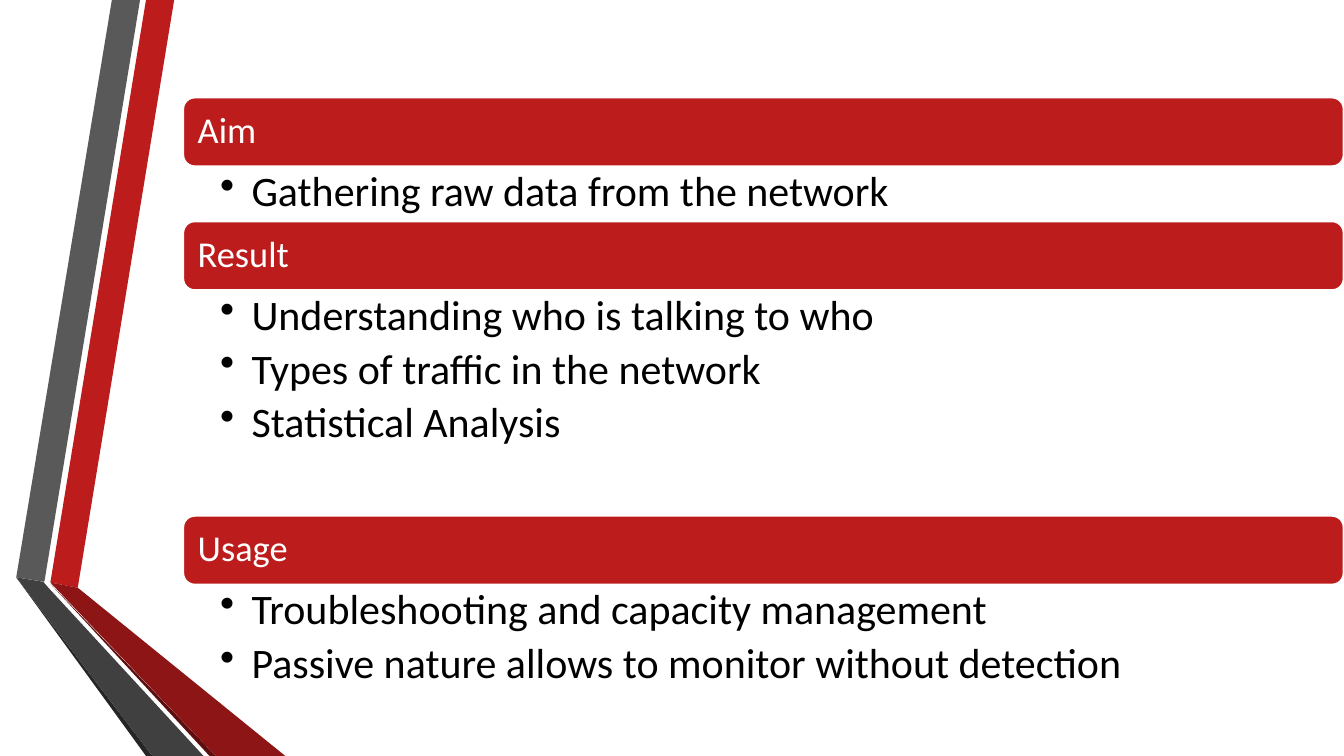
from dataclasses import dataclass

from lxml import etree
from pptx import Presentation
from pptx.dml.color import RGBColor
from pptx.enum.shapes import MSO_SHAPE
from pptx.enum.text import MSO_ANCHOR, PP_ALIGN
from pptx.oxml.ns import qn
from pptx.util import Cm, Pt

ROUND = MSO_SHAPE.ROUNDED_RECTANGLE
TOP = MSO_ANCHOR.TOP
MIDDLE = MSO_ANCHOR.MIDDLE
LEFT = PP_ALIGN.LEFT

FONT = "Calibri"
COLORS = {
    "red": "BC1C1C",
    "maroon": "8D1515",
    "wine": "5E0E0E",
    "gray": "595959",
    "dark": "404040",
    "coal": "262626",
    "white": "FFFFFF",
    "black": "000000",
}

WIDE, HIGH = 33.87, 19.05
EDGE, SPAN = 4.62, 29.24
START, BAR = 2.46, 1.73
INDENT = 0.79


@dataclass
class Band:
    color: str
    points: list[tuple[float, float]]


@dataclass
class Topic:
    title: str
    items: list[str]
    height: float


BANDS = [
    Band("red", [(1.27, 14.68), (1.96, 14.81), (4.39, 0), (3.68, 0)]),
    Band("gray", [(3.53, 0), (2.82, 0), (0.41, 14.55), (1.12, 14.66)]),
    Band("coal", [(0.41, 14.55), (3.68, HIGH), (3.84, HIGH)]),
    Band("wine", [(1.27, 14.71), (5.28, HIGH), (5.44, HIGH)]),
    Band("maroon", [(1.27, 14.68), (5.44, HIGH), (7.19, HIGH), (1.96, 14.81)]),
    Band("dark", [(5.13, HIGH), (1.22, 14.81), (1.09, 14.66), (0.41, 14.55),
                  (3.84, HIGH)]),
]

TOPICS = [
    Topic("Aim", ["Gathering raw data from the network"], 1.39),
    Topic("Result", ["Understanding who is talking to who",
                     "Types of traffic in the network",
                     "Statistical Analysis"], 5.69),
    Topic("Usage", ["Troubleshooting and capacity management",
                    "Passive nature allows to monitor without detection"], 4.27),
]


def tint(name: str) -> RGBColor:
    return RGBColor.from_string(COLORS[name])


def write(shape, lines: list[str], *, size: float, color: str, anchor,
          insets: tuple[float, float, float, float], after: float = 0,
          bullet: str = "") -> None:
    frame = shape.text_frame
    frame.word_wrap = True
    frame.vertical_anchor = anchor
    (frame.margin_left, frame.margin_top,
     frame.margin_right, frame.margin_bottom) = map(Cm, insets)
    for n, line in enumerate(lines):
        para = frame.add_paragraph() if n else frame.paragraphs[0]
        para.alignment = LEFT
        para.line_spacing = 0.9
        para.space_after = Pt(after)
        run = para.add_run()
        run.text = line
        run.font.name = FONT
        run.font.size = Pt(size)
        run.font.color.rgb = tint(color)
        if bullet:
            para.level = 1
            props = para._p.get_or_add_pPr()
            props.set("marL", str(Cm(INDENT)))
            props.set("indent", str(-Cm(INDENT)))
            etree.SubElement(props, qn("a:buChar")).set("char", bullet)


def draw_band(slide, band: Band) -> None:
    first, *rest = [(Cm(x), Cm(y)) for x, y in band.points]
    path = slide.shapes.build_freeform(*first)
    path.add_line_segments(rest, close=True)
    shape = path.convert_to_shape()
    shape.shadow.inherit = False
    shape.fill.solid()
    shape.fill.fore_color.rgb = tint(band.color)
    shape.line.fill.background()


def draw_topic(slide, topic: Topic, top: float) -> float:
    bar = slide.shapes.add_shape(ROUND, Cm(EDGE), Cm(top), Cm(SPAN), Cm(BAR))
    bar.shadow.inherit = False
    bar.fill.solid()
    bar.fill.fore_color.rgb = tint("red")
    bar.line.color.rgb = tint("white")
    bar.line.width = Pt(1.25)
    write(bar, [topic.title], size=26, color="white", anchor=MIDDLE,
          insets=(0.28, 0.28, 0.28, 0.28))
    top += BAR
    body = slide.shapes.add_textbox(Cm(EDGE), Cm(top), Cm(SPAN),
                                    Cm(topic.height))
    write(body, topic.items, size=30, color="black", anchor=TOP,
          insets=(0.93, 0.1, 0.58, 0.1), after=6, bullet="•")
    return top + topic.height


def main() -> None:
    deck = Presentation()
    deck.slide_width, deck.slide_height = Cm(WIDE), Cm(HIGH)
    slide = deck.slides.add_slide(deck.slide_layouts[6])
    for band in BANDS:
        draw_band(slide, band)
    top = START
    for topic in TOPICS:
        top = draw_topic(slide, topic, top)
    deck.save("out.pptx")


if __name__ == "__main__":
    main()
